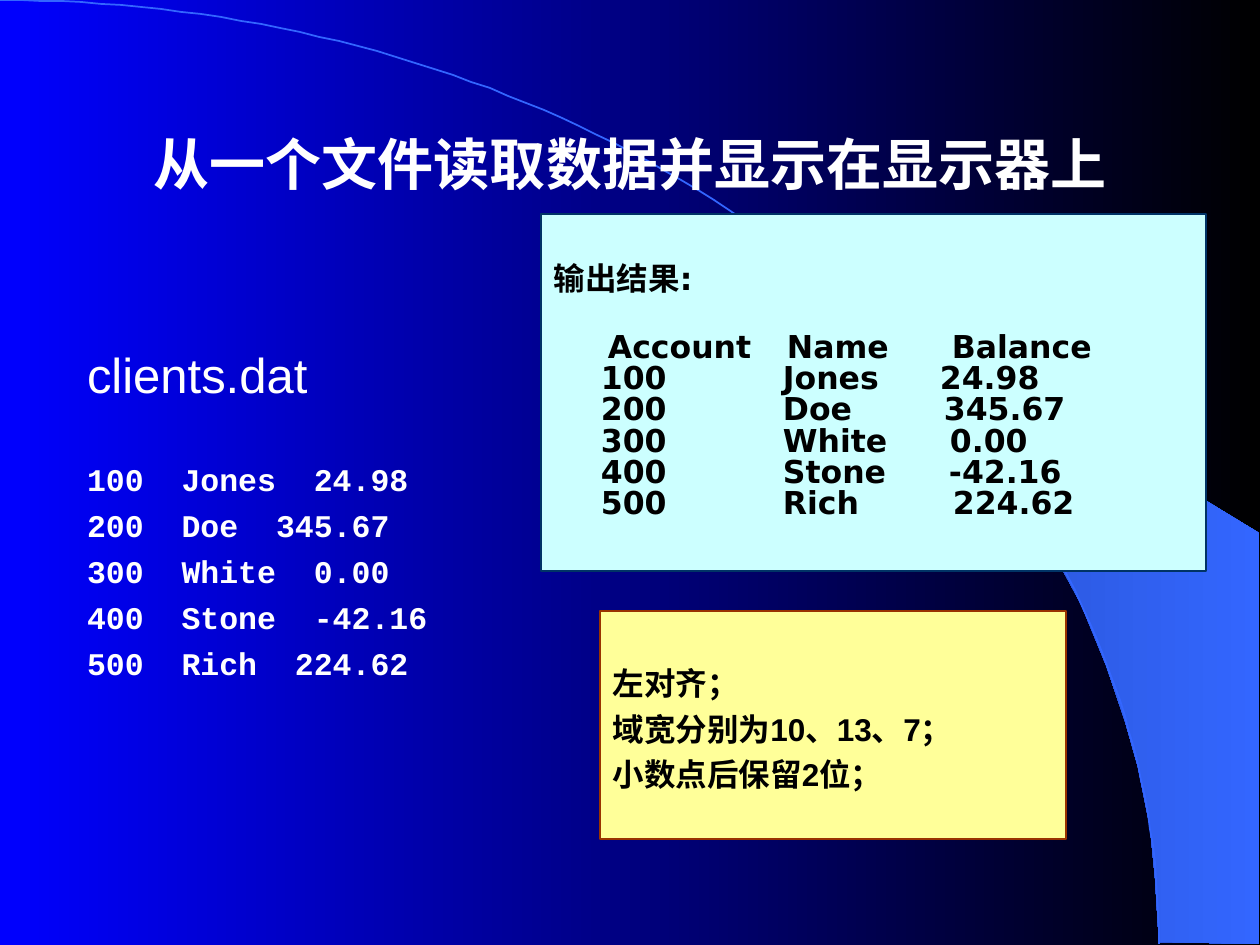
import math

import lxml.etree
import pptx
import pptx.dml.color
import pptx.enum.shapes
import pptx.enum.text
import pptx.oxml.ns
import pptx.util

RGB = pptx.dml.color.RGBColor
EMU_PER_PX = 914400 / 126
WHITE = RGB(0xFF, 0xFF, 0xFF)
BLACK = RGB(0x00, 0x00, 0x00)
BLUE = RGB(0x00, 0x00, 0xFF)
SKY = RGB(0x33, 0x66, 0xFF)
DEEP_SKY = RGB(0x24, 0x49, 0xB6)
CYAN = RGB(0xCC, 0xFF, 0xFF)
NAVY = RGB(0x00, 0x33, 0x66)
YELLOW = RGB(0xFF, 0xFF, 0x99)
BROWN = RGB(0x99, 0x33, 0x00)

CLIENTS = [
    ("100", "Jones", "24.98"),
    ("200", "Doe", "345.67"),
    ("300", "White", "0.00"),
    ("400", "Stone", "-42.16"),
    ("500", "Rich", "224.62"),
]
HEADINGS = ("Account", "Name", "Balance")
HEADING_STOPS = (54, 233, 398)
BALANCE_STOPS = (386, 390, 396, 395, 399)
NOTES = ["左对齐；", "域宽分别为10、13、7；", "小数点后保留2位；"]
FAN = [
    (1159, 942), (1259, 944), (1259, 533), (742, 218), (786, 251), (823, 280),
    (863, 315), (902, 353), (960, 416), (1012, 484), (1048, 543), (1081, 604),
    (1106, 665), (1125, 721), (1138, 767), (1150, 827), (1155, 877),
]


def px(length):
    """Turn a length in px into EMU."""
    return pptx.util.Emu(round(length * EMU_PER_PX))


def fill_gradient(fill, start, end):
    """Give a fill a left-to-right gradient of two colours."""
    fill.gradient()
    fill.gradient_angle = 0
    for stop, color in zip(fill.gradient_stops, (start, end)):
        stop.color.rgb = color


def prepare_frame(shape, top_margin=6, anchor=pptx.enum.text.MSO_ANCHOR.TOP):
    """Set wrapping, margins and anchor of a shape's text, and return its frame."""
    frame = shape.text_frame
    frame.word_wrap = True
    frame.margin_left = frame.margin_right = px(13)
    frame.margin_top, frame.margin_bottom = px(top_margin), px(6)
    frame.vertical_anchor = anchor
    return frame


def write_line(frame, text, font, size, color, bold=True, before=0, spacing=1.0,
               stops=(), align=pptx.enum.text.PP_ALIGN.LEFT):
    """Add one formatted paragraph, with tab stops in px from the text's left edge."""
    first = frame.paragraphs[0]
    paragraph = frame.add_paragraph() if first.runs else first
    paragraph.text = text
    paragraph.alignment = align
    paragraph.line_spacing = spacing
    paragraph.space_before = pptx.util.Pt(before)
    if stops:
        qn = pptx.oxml.ns.qn
        tabs = lxml.etree.SubElement(paragraph._p.get_or_add_pPr(), qn("a:tabLst"))
        for stop in stops:
            lxml.etree.SubElement(tabs, qn("a:tab"), pos=str(px(stop)), algn="l")
    for run in paragraph.runs:
        run.font.name = font
        run.font.size = pptx.util.Pt(size)
        run.font.bold = bold
        run.font.color.rgb = color


def add_panel(slide, box, fill, line, top_margin):
    """Add a filled, outlined panel and return its text frame."""
    rectangle = pptx.enum.shapes.MSO_SHAPE.RECTANGLE
    panel = slide.shapes.add_shape(rectangle, *map(px, box))
    panel.shadow.inherit = False
    panel.fill.solid()
    panel.fill.fore_color.rgb = fill
    panel.line.color.rgb = line
    panel.line.width = pptx.util.Pt(0.75)
    return prepare_frame(panel, top_margin)


def add_outline(slide, points, close):
    """Build a freeform through points given in px."""
    builder = slide.shapes.build_freeform(*points[0], scale=EMU_PER_PX)
    builder.add_line_segments(points[1:], close=close)
    outline = builder.convert_to_shape()
    outline.shadow.inherit = False
    return outline


def draw_backdrop(slide, box):
    """Draw the background gradient, the fan and the quarter-ellipse arc."""
    left, top, width, height = box
    fill_gradient(slide.background.fill, BLUE, BLACK)
    fan = add_outline(slide, [(left + x, top + y) for x, y in FAN], True)
    fill_gradient(fan.fill, DEEP_SKY, SKY)
    fan.line.fill.background()

    steps = 90
    angles = [math.pi / 2 * step / steps for step in range(steps + 1)]
    curve = [(left + width * math.sin(a), top + height * (1 - math.cos(a)))
             for a in angles]
    arc = add_outline(slide, curve, False)
    arc.fill.background()
    arc.line.color.rgb = SKY
    arc.line.width = pptx.util.Pt(1)


def draw_title(slide, box):
    """Place the centred title."""
    title = slide.shapes.add_textbox(*map(px, box))
    frame = prepare_frame(title, anchor=pptx.enum.text.MSO_ANCHOR.MIDDLE)
    write_line(frame, "从一个文件读取数据并显示在显示器上", "Arial", 32, WHITE,
               align=pptx.enum.text.PP_ALIGN.CENTER)


def draw_data_file(slide, box):
    """List the data file's lines, with fields two characters apart."""
    frame = prepare_frame(slide.shapes.add_textbox(*map(px, box)), 11)
    write_line(frame, "clients.dat", "Arial", 28, WHITE, bold=False)
    character = 18.9
    for index, (account, name, balance) in enumerate(CLIENTS):
        name_column = len(account) + 2
        balance_column = name_column + len(name) + 2
        write_line(frame, "\t".join((account, name, balance)), "Courier New", 18, WHITE,
                   before=4.7 if index else 32,
                   stops=(name_column * character, balance_column * character))


def draw_output(slide, box):
    """Show the program's output in tabbed columns."""
    frame = add_panel(slide, box, CYAN, NAVY, 52)
    write_line(frame, "输出结果:", "DejaVu Sans", 18, BLACK, spacing=0.8)
    row_stops = [(47, 229, balance) for balance in BALANCE_STOPS]
    rows = zip([HEADINGS] + CLIENTS, [HEADING_STOPS] + row_stops)
    for index, (fields, stops) in enumerate(rows):
        write_line(frame, "\t" + "\t".join(fields), "DejaVu Sans", 18, BLACK,
                   before=0 if index else 21, spacing=0.83, stops=stops)


def draw_notes(slide, box):
    """Place the formatting rules."""
    frame = add_panel(slide, box, YELLOW, BROWN, 53)
    for index, note in enumerate(NOTES):
        write_line(frame, note, "Arial", 18, BLACK, before=4.5 if index else 0)


def main():
    """Build and save the slide."""
    presentation = pptx.Presentation()
    presentation.slide_width, presentation.slide_height = px(1260), px(945)
    slide = presentation.slides.add_slide(presentation.slide_layouts[6])
    draw_backdrop(slide, (0, 0, 1159, 944))
    draw_title(slide, (95, 84, 1071, 158))
    draw_data_file(slide, (74, 334, 437, 377))
    draw_output(slide, (541, 214, 665, 357))
    draw_notes(slide, (600, 611, 466, 228))
    presentation.save("out.pptx")


if __name__ == "__main__":
    main()
